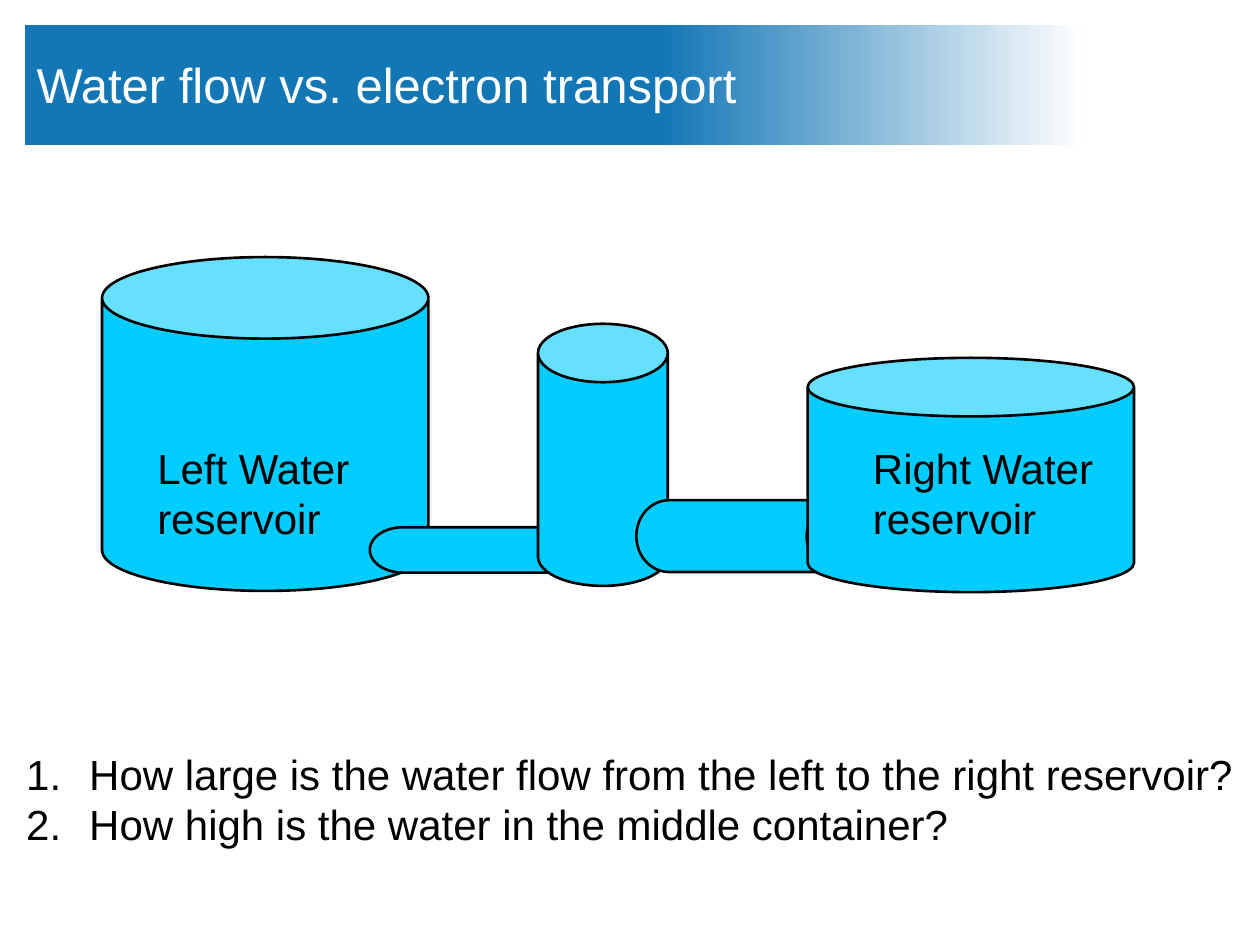
import copy
from dataclasses import dataclass

import pptx
import pptx.dml.color
import pptx.enum.shapes
import pptx.enum.text
import pptx.oxml
import pptx.oxml.ns
import pptx.util

FONT = "Arial"
BLACK = "000000"
WHITE = "FFFFFF"
BANNER_BLUE = "1376B5"
WATER_BLUE = "00CCFF"


@dataclass
class Box:
    left: float
    top: float
    width: float
    height: float

    def lengths(self) -> list:
        return [pptx.util.Pt(value) for value in (self.left, self.top, self.width, self.height)]


@dataclass
class Can:
    box: Box
    rim: float
    rotation: float = 0


@dataclass
class Label:
    box: Box
    lines: list[str]
    size: float = 24
    color: str = BLACK
    numbered: bool = False


def rgb(value: str) -> pptx.dml.color.RGBColor:
    return pptx.dml.color.RGBColor.from_string(value)


def draw_banner(slide, box: Box) -> None:
    shape = slide.shapes.add_shape(pptx.enum.shapes.MSO_SHAPE.RECTANGLE, *box.lengths())
    shape.shadow.inherit = False
    shape.line.fill.background()
    shape.fill.gradient()
    shape.fill.gradient_angle = 0
    first_stop = shape._element.spPr.find(".//" + pptx.oxml.ns.qn("a:gs"))
    first_stop.addnext(copy.deepcopy(first_stop))
    stops = [(0, BANNER_BLUE), (0.6, BANNER_BLUE), (1, WHITE)]
    for stop, (position, color) in zip(shape.fill.gradient_stops, stops):
        stop.position = position
        stop.color.rgb = rgb(color)


def draw_can(slide, can: Can) -> None:
    shape = slide.shapes.add_shape(pptx.enum.shapes.MSO_SHAPE.CAN, *can.box.lengths())
    shape.shadow.inherit = False
    shape.adjustments[0] = can.rim
    shape.rotation = can.rotation
    shape.fill.solid()
    shape.fill.fore_color.rgb = rgb(WATER_BLUE)
    shape.line.color.rgb = rgb(BLACK)
    shape.line.width = pptx.util.Pt(1.5)


def number_paragraph(paragraph) -> None:
    properties = paragraph._p.get_or_add_pPr()
    indent = pptx.util.Pt(36)
    properties.set("marL", str(indent))
    properties.set("indent", str(-indent))
    namespace = pptx.oxml.ns.nsdecls("a")
    properties.append(pptx.oxml.parse_xml(f'<a:buFont {namespace} typeface="+mj-lt"/>'))
    properties.append(pptx.oxml.parse_xml(f'<a:buAutoNum {namespace} type="arabicPeriod"/>'))


def draw_label(slide, label: Label):
    text_frame = slide.shapes.add_textbox(*label.box.lengths()).text_frame
    text_frame.word_wrap = False
    text_frame.text = "\n".join(label.lines)
    for paragraph in text_frame.paragraphs:
        if label.numbered:
            number_paragraph(paragraph)
        for run in paragraph.runs:
            run.font.name = FONT
            run.font.size = pptx.util.Pt(label.size)
            run.font.color.rgb = rgb(label.color)
    return text_frame


def draw_title(slide, label: Label) -> None:
    text_frame = draw_label(slide, label)
    text_frame.word_wrap = True
    text_frame.vertical_anchor = pptx.enum.text.MSO_ANCHOR.MIDDLE
    for side in ("left", "top", "right", "bottom"):
        setattr(text_frame, f"margin_{side}", pptx.util.Pt(2.88))


BANNER = Box(14.4, 14.4, 604.8, 68.4)
TITLE = Label(Box(18, 23.76, 538.56, 48.24), ["Water flow vs. electron transport"], 28, WHITE)

LEFT_RESERVOIR = Can(Box(58.32, 146.88, 186.48, 190.8), 0.25)
LEFT_PIPE = Can(Box(265.68, 246.96, 25.92, 134.64), 1.45, 90)
MIDDLE_CONTAINER = Can(Box(307.44, 185.04, 74.16, 149.76), 0.45)
RIGHT_PIPE = Can(Box(410.4, 239.04, 41.04, 134.64), 0.91, 90)
RIGHT_RESERVOIR = Can(Box(461.52, 204.48, 186.48, 133.92), 0.25)
CANS = [LEFT_RESERVOIR, LEFT_PIPE, MIDDLE_CONTAINER, RIGHT_PIPE, RIGHT_RESERVOIR]

LABELS = [
    Label(Box(82.8, 249.12, 141.84, 65.52), ["Left Water", "reservoir"]),
    Label(Box(491.76, 249.12, 141.84, 65.52), ["Right Water", "reservoir"]),
    Label(
        Box(7.92, 424.08, 711.36, 65.52),
        [
            "How large is the water flow from the left to the right reservoir?",
            "How high is the water in the middle container?",
        ],
        numbered=True,
    ),
]


def main() -> None:
    presentation = pptx.Presentation()
    presentation.slide_width = pptx.util.Pt(720)
    presentation.slide_height = pptx.util.Pt(540)
    slide = presentation.slides.add_slide(presentation.slide_layouts[6])
    draw_banner(slide, BANNER)
    draw_title(slide, TITLE)
    for can in CANS:
        draw_can(slide, can)
    for label in LABELS:
        draw_label(slide, label)
    presentation.save("out.pptx")


if __name__ == "__main__":
    main()
